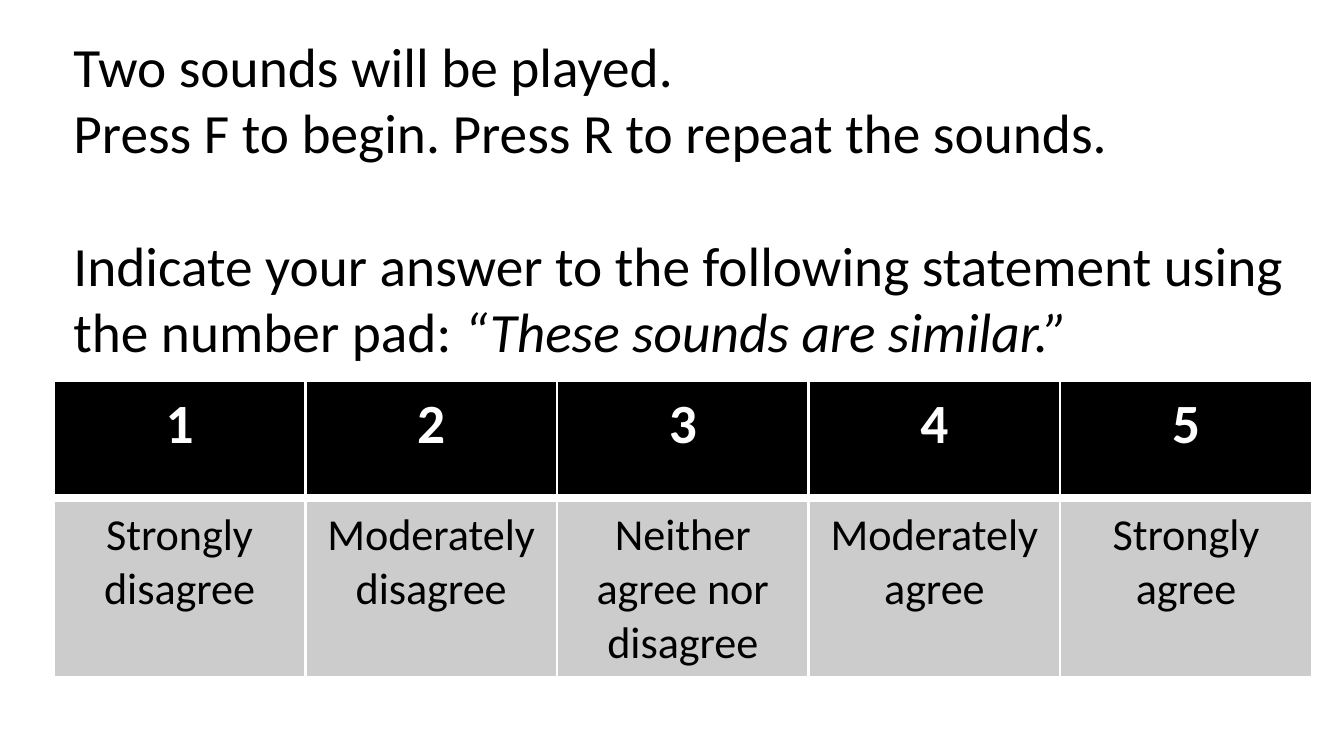
from lxml.etree import SubElement
from pptx import Presentation
from pptx.dml.color import RGBColor
from pptx.enum.text import MSO_AUTO_SIZE, PP_ALIGN
from pptx.oxml.ns import qn
from pptx.util import Inches, Pt

BLACK = RGBColor(0x00, 0x00, 0x00)
WHITE = RGBColor(0xFF, 0xFF, 0xFF)
GREY = RGBColor(0xCC, 0xCC, 0xCC)


def add_text(para, text, size=20, color=BLACK, bold=False, italic=False):
    span = para.add_run()
    span.text = text
    span.font.name = "Calibri"
    span.font.size = Pt(size)
    span.font.color.rgb = color
    span.font.bold = bold
    span.font.italic = italic


def add_border(cell, side, width):
    line = SubElement(cell._tc.get_or_add_tcPr(), qn(f"a:{side}"), w=str(Pt(width)))
    fill = SubElement(line, qn("a:solidFill"))
    SubElement(fill, qn("a:srgbClr"), val=str(WHITE))


deck = Presentation()
deck.slide_width = Inches(6.75)
deck.slide_height = Inches(3.75)
page = deck.slides.add_slide(deck.slide_layouts[6])

left, width = Inches(0.27), Inches(6.32)
box = page.shapes.add_textbox(left, Inches(0.11), width, Inches(1.78))
frame = box.text_frame
frame.word_wrap = True
frame.auto_size = MSO_AUTO_SIZE.SHAPE_TO_FIT_TEXT
add_text(frame.paragraphs[0], "Two sounds will be played.")
add_text(frame.add_paragraph(), "Press F to begin. Press R to repeat the sounds.")
question = frame.add_paragraph()
question.space_before = Pt(24)
add_text(question, "Indicate your answer to the following statement using the number pad: ")
add_text(question, "“These sounds are similar.”", italic=True)

answers = [
    "Strongly disagree",
    "Moderately disagree",
    "Neither agree nor disagree",
    "Moderately agree",
    "Strongly agree",
]
scale = page.shapes.add_table(2, len(answers), left, Inches(1.91), width, Inches(1.45)).table
scale.rows[0].height = Inches(0.59)
scale.rows[1].height = Inches(0.86)

for column, answer in enumerate(answers):
    header, label = scale.cell(0, column), scale.cell(1, column)
    for cell, top, bottom, color in ((header, 1, 3, BLACK), (label, 3, 1, GREY)):
        for side, thickness in (("lnL", 1), ("lnR", 1), ("lnT", top), ("lnB", bottom)):
            add_border(cell, side, thickness)
        cell.fill.solid()
        cell.fill.fore_color.rgb = color
        cell.text_frame.paragraphs[0].alignment = PP_ALIGN.CENTER
    add_text(header.text_frame.paragraphs[0], str(column + 1), color=WHITE, bold=True)
    add_text(label.text_frame.paragraphs[0], answer, size=16)

deck.save("out.pptx")
